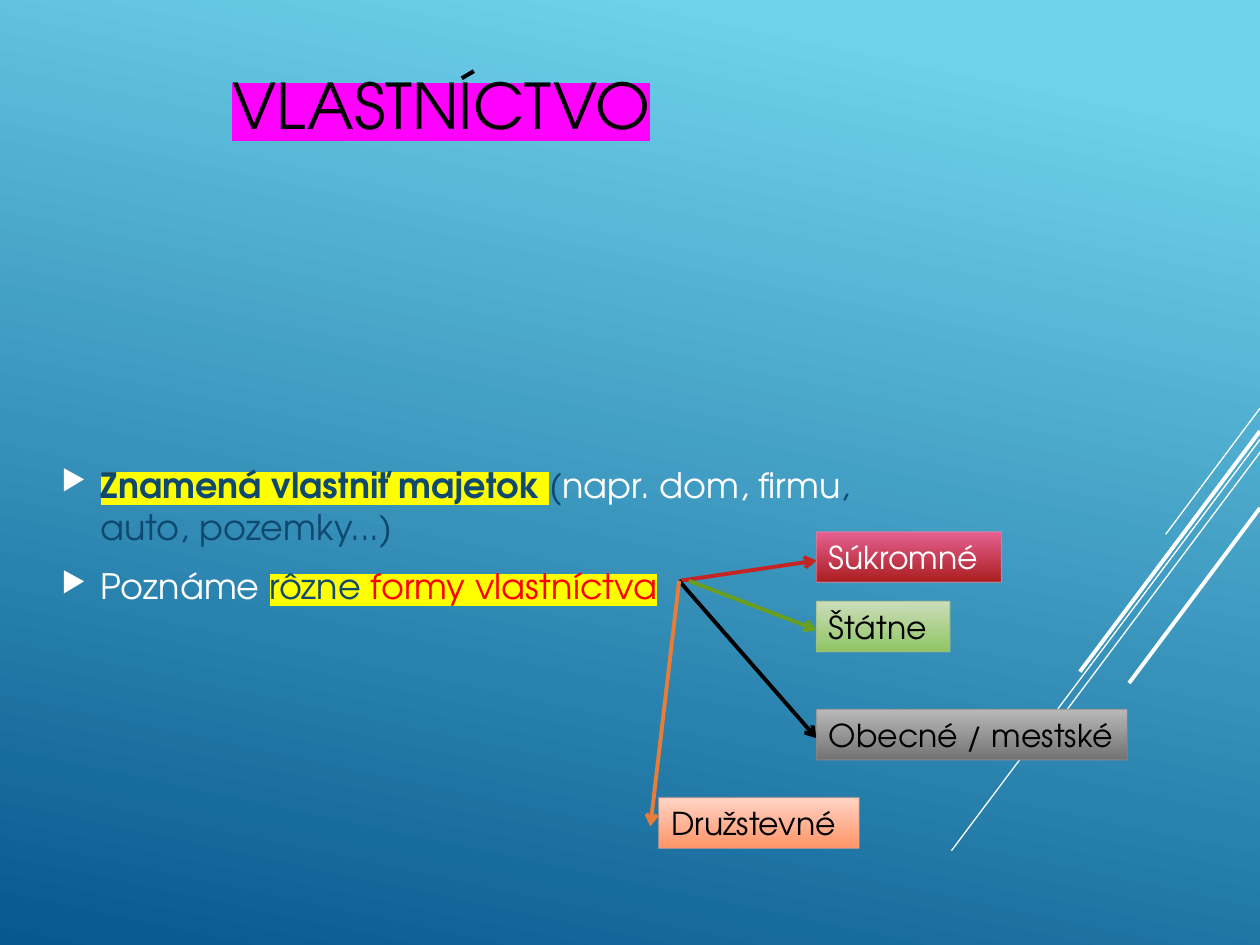
from lxml import etree
from pptx import Presentation
from pptx.dml.color import RGBColor
from pptx.enum.shapes import MSO_CONNECTOR, MSO_SHAPE
from pptx.enum.text import MSO_ANCHOR, MSO_AUTO_SIZE, PP_ALIGN
from pptx.oxml.ns import qn
from pptx.util import Cm, Pt

STRAIGHT = MSO_CONNECTOR.STRAIGHT
RECTANGLE = MSO_SHAPE.RECTANGLE
MIDDLE = MSO_ANCHOR.MIDDLE
FIT_SHAPE = MSO_AUTO_SIZE.SHAPE_TO_FIT_TEXT
LEFT, CENTER = PP_ALIGN.LEFT, PP_ALIGN.CENTER

WHITE = RGBColor(0xFF, 0xFF, 0xFF)
BLACK = RGBColor(0x00, 0x00, 0x00)
NAVY = RGBColor(0x0F, 0x49, 0x6F)
RED = RGBColor(0xFF, 0x00, 0x00)
YELLOW = RGBColor(0xFF, 0xFF, 0x00)
MAGENTA = RGBColor(0xFF, 0x00, 0xFF)
SKY = RGBColor(0x6E, 0xD2, 0xEB)
DEEP_BLUE = RGBColor(0x06, 0x58, 0x8E)
CRIMSON = RGBColor(0xC6, 0x23, 0x24)
CRIMSON_TOP = RGBColor(0xE6, 0x60, 0x91)
CRIMSON_BOTTOM = RGBColor(0xAA, 0x1E, 0x1F)
CRIMSON_EDGE = RGBColor(0xD6, 0x8B, 0xA6)
GREEN = RGBColor(0x6A, 0x9E, 0x1F)
GREEN_TOP = RGBColor(0xCC, 0xDD, 0xBA)
GREEN_BOTTOM = RGBColor(0x8F, 0xC5, 0x63)
GREEN_EDGE = RGBColor(0xA4, 0xBB, 0x8B)
GRAY_TOP = RGBColor(0xB8, 0xB8, 0xB8)
GRAY_BOTTOM = RGBColor(0x73, 0x73, 0x73)
GRAY_EDGE = RGBColor(0x89, 0x89, 0x89)
ORANGE = RGBColor(0xE8, 0x7D, 0x37)
ORANGE_TOP = RGBColor(0xFF, 0xD4, 0xC6)
ORANGE_BOTTOM = RGBColor(0xFF, 0x94, 0x67)
ORANGE_EDGE = RGBColor(0xEE, 0xA7, 0x8F)


def add_element(parent, tag, **attributes):
    return etree.SubElement(parent, qn(tag), attributes)


class SlideBuilder:
    font_name = "TeX Gyre Adventor"
    box_height = 1.02

    def __init__(self, slide):
        self.slide = slide

    def gradient(self, fill, colors, angle, start=0):
        fill.gradient()
        fill.gradient_angle = 360 - angle
        for stop, color, position in zip(fill.gradient_stops, colors, (start, 1)):
            stop.color.rgb = color
            stop.position = position

    def line(self, start, end, color, width, arrow=False):
        points = [Cm(value) for value in (*start, *end)]
        connector = self.slide.shapes.add_connector(STRAIGHT, *points)
        connector.line.color.rgb = color
        connector.line.width = Pt(width)
        if arrow:
            add_element(connector.line._get_or_add_ln(), "a:tailEnd", type="arrow")
        add_element(connector._element.spPr, "a:effectLst")

    def run(self, paragraph, text, size, color, highlight=None, bold=False):
        run = paragraph.add_run()
        run.text = text
        if highlight is not None:
            marker = add_element(run._r.get_or_add_rPr(), "a:highlight")
            add_element(marker, "a:srgbClr", val=str(highlight))
        run.font.color.rgb = color
        style = {"name": self.font_name, "size": Pt(size), "bold": bold}
        for name, value in style.items():
            setattr(run.font, name, value)

    def text_box(self, left, top, width, height):
        shape = self.slide.shapes.add_textbox(Cm(left), Cm(top), Cm(width), Cm(height))
        frame = shape.text_frame
        for name, value in {"word_wrap": True, "vertical_anchor": MIDDLE}.items():
            setattr(frame, name, value)
        return frame

    def title(self, text, *place):
        paragraph = self.text_box(*place).paragraphs[0]
        paragraph.alignment = CENTER
        self.run(paragraph, text, 36, BLACK, MAGENTA)

    def bullets(self, items, *place):
        frame = self.text_box(*place)
        for index, runs in enumerate(items):
            paragraph = frame.add_paragraph() if index else frame.paragraphs[0]
            paragraph.space_before = Pt(4 if index else 0)
            paragraph.space_after = Pt(6)
            properties = paragraph._p.get_or_add_pPr()
            properties.set("marL", str(Cm(0.79)))
            properties.set("indent", str(Cm(-0.79)))
            bullet_color = add_element(properties, "a:buClr")
            add_element(bullet_color, "a:srgbClr", val=str(WHITE))
            add_element(properties, "a:buSzPct", val="80000")
            add_element(properties, "a:buChar", char="▶")
            for text, *style in runs:
                self.run(paragraph, text, 20, *style)

    def label(self, text, left, top, width, text_color, colors, edge):
        shape = self.slide.shapes.add_shape(
            RECTANGLE, Cm(left), Cm(top), Cm(width), Cm(self.box_height))
        shape.shadow.inherit = False
        self.gradient(shape.fill, colors, 90)
        shape.line.color.rgb = edge
        shape.line.width = Pt(0.75)
        edge_color = shape.line._get_or_add_ln().find(".//" + qn("a:srgbClr"))
        add_element(edge_color, "a:alpha", val="60000")
        frame = shape.text_frame
        style = {"word_wrap": False, "auto_size": FIT_SHAPE, "vertical_anchor": MIDDLE}
        for name, value in style.items():
            setattr(frame, name, value)
        paragraph = frame.paragraphs[0]
        paragraph.alignment = LEFT
        self.run(paragraph, text, 18, text_color)


def main():
    presentation = Presentation()
    presentation.slide_width, presentation.slide_height = Cm(25.4), Cm(19.05)
    slide = presentation.slides.add_slide(presentation.slide_layouts[6])
    builder = SlideBuilder(slide)

    # Background and diagonal lines running off the right edge
    builder.gradient(slide.background.fill, (SKY, DEEP_BLUE), 102, start=0.1)
    diagonals = [
        (8.23, (23.5, 10.77), 0.75),
        (8.86, (19.18, 17.15), 0.75),
        (9.12, (21.44, 14.4), 0.75),
        (8.69, (21.77, 13.54), 2.25),
        (10.24, (22.76, 13.77), 2.25),
    ]
    for edge_y, end, width in diagonals:
        builder.line((25.4, edge_y), end, WHITE, width)

    # Title and definition
    builder.title("VLASTNÍCTVO", 0, 0, 17.78, 4.19)
    builder.bullets([
        [("Znamená vlastniť majetok", NAVY, YELLOW, True),
         (" ", NAVY, YELLOW),
         ("(", NAVY),
         ("napr. dom, firmu", WHITE),
         (", auto, pozemky...)", NAVY)],
        [("Poznáme ", WHITE),
         ("rôzne ", NAVY, YELLOW),
         ("formy vlastníctva", RED, YELLOW)],
    ], 0.99, 5.77, 17.78, 10.03)

    # Forms of ownership: an arrow to each label
    forms = [
        ("Súkromné", 16.46, 10.72, 3.73, WHITE, (CRIMSON_TOP, CRIMSON_BOTTOM),
         CRIMSON_EDGE, CRIMSON, 13.69, 0),
        ("Štátne", 16.46, 12.12, 2.69, BLACK, (GREEN_TOP, GREEN_BOTTOM),
         GREEN_EDGE, GREEN, 13.89, 0),
        ("Obecné / mestské", 16.46, 14.3, 6.27, BLACK, (GRAY_TOP, GRAY_BOTTOM),
         GRAY_EDGE, BLACK, 13.69, 0),
        ("Družstevné", 13.28, 16.08, 4.04, BLACK, (ORANGE_TOP, ORANGE_BOTTOM),
         ORANGE_EDGE, ORANGE, 13.69, 0.17),
    ]
    for *label, arrow_color, start_x, gap in forms:
        left, top = label[1:3]
        builder.line((start_x, 11.71), (left - gap, top + 0.58), arrow_color, 2.25, arrow=True)
        builder.label(*label)

    presentation.save("out.pptx")


if __name__ == "__main__":
    main()
